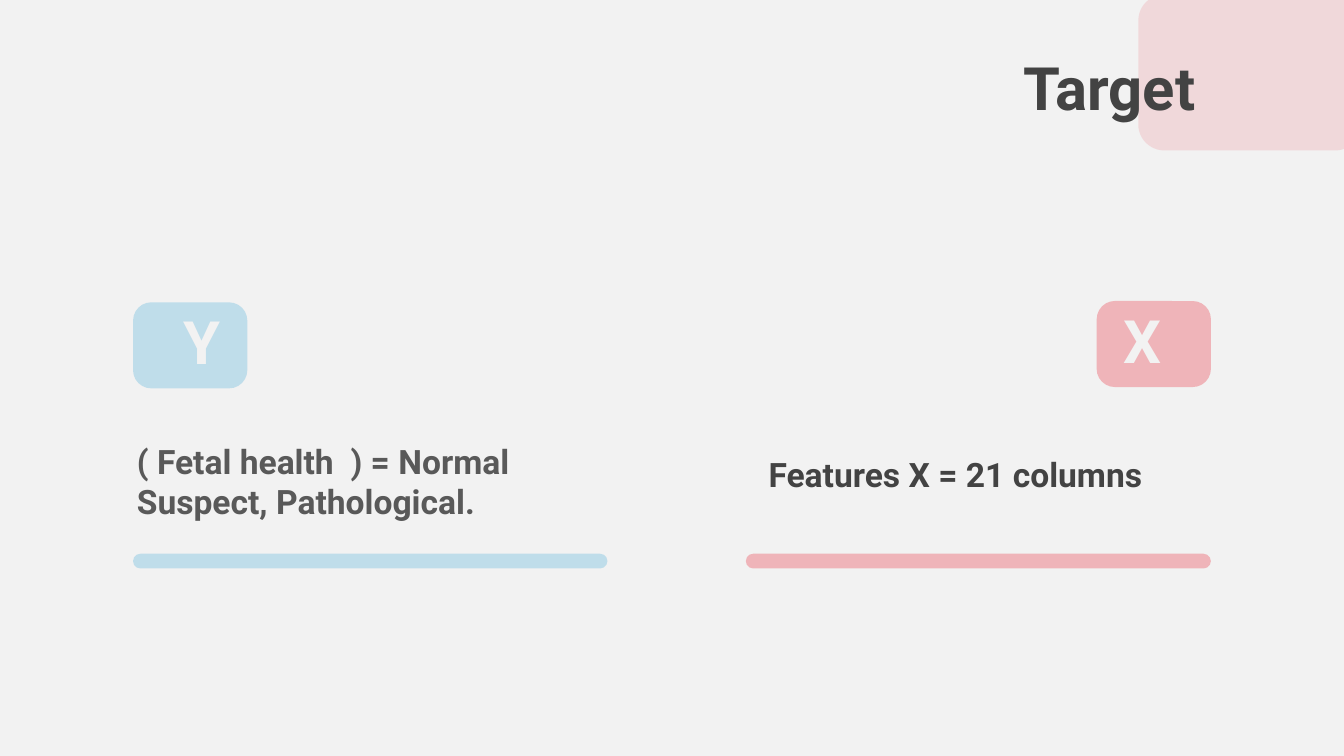
import pptx
import pptx.util
import pptx.dml.color
import pptx.enum.shapes
import pptx.enum.text
import pptx.oxml.ns
from dataclasses import dataclass
from lxml import etree

Inches = pptx.util.Inches
Align = pptx.enum.text.PP_ALIGN
Anchor = pptx.enum.text.MSO_ANCHOR


@dataclass(frozen=True)
class Theme:
    font: str = "Roboto"
    paper: str = "F2F2F2"
    ink: str = "434343"
    gray: str = "595959"
    blue: str = "AED7E8"
    pink: str = "EE8C94"
    large: int = 32
    body: int = 18


THEME = Theme()


def tint(fill, color, alpha=100):
    fill.solid()
    fill.fore_color.rgb = pptx.dml.color.RGBColor.from_string(color)
    if alpha < 100:
        qn = pptx.oxml.ns.qn
        node = fill._xPr.find(qn("a:solidFill"))[0]
        etree.SubElement(node, qn("a:alpha"), val=str(alpha * 1000))


def block(slide, box, color, alpha, curve):
    kind = pptx.enum.shapes.MSO_SHAPE.ROUNDED_RECTANGLE
    shape = slide.shapes.add_shape(kind, *map(Inches, box))
    shape.adjustments[0] = curve
    shape.shadow.inherit = False
    shape.line.fill.background()
    tint(shape.fill, color, alpha)


def label(slide, box, text, size, color, align=Align.LEFT, anchor=Anchor.TOP):
    frame = slide.shapes.add_textbox(*map(Inches, box)).text_frame
    frame.word_wrap = True
    frame.vertical_anchor = anchor
    frame.margin_left = frame.margin_right = Inches(0.1)
    frame.margin_top = frame.margin_bottom = Inches(0.1)
    para = frame.paragraphs[0]
    para.text = text
    para.alignment = align
    para.font.name = THEME.font
    para.font.size = pptx.util.Pt(size)
    para.font.bold = True
    para.font.color.rgb = pptx.dml.color.RGBColor.from_string(color)


def header(slide, box, text):
    left, top, width, height = box
    block(slide, (left + 2.77, top - 0.32, 1.66, 1.16), THEME.pink, 25, 0.167)
    label(slide, box, text, THEME.large, THEME.ink, Align.CENTER)


def panel(slide, box, sign, text, note, color, alpha, ink, tag, mark):
    left, top, width, height = box
    bar = 0.11
    block(slide, (left, top + height - bar, width, bar), color, alpha, 0.5)
    block(slide, (left + tag, top, 0.85, 0.64), color, alpha, 0.212)
    label(slide, (left + tag + mark, top - 0.04, 0.69, 0.69), sign,
          THEME.large, THEME.paper, anchor=Anchor.BOTTOM)
    shift, drop, span, depth = note
    label(slide, (left + shift, top + drop, span, depth), text, THEME.body, ink)


def main():
    deck = pptx.Presentation()
    deck.slide_width = Inches(10)
    deck.slide_height = Inches(10 * 9 / 16)
    slide = deck.slides.add_slide(deck.slide_layouts[6])
    tint(slide.background.fill, THEME.paper)
    header(slide, (5.7, 0.28, 5.11, 0.69), "Target")
    panel(slide, (0.99, 2.25, 3.53, 1.98), "Y",
          "( Fetal health  ) = Normal  Suspect, Pathological.",
          (-0.07, 0.93, 3.39, 1.16), THEME.blue, 74, THEME.gray, 0, 0.28)
    panel(slide, (5.55, 2.24, 3.46, 1.99), "X", "Features X = 21 columns",
          (0.07, 1.04, 3.33, 0.96), THEME.pink, 60, THEME.ink, 2.61, 0.1)
    deck.save("out.pptx")


if __name__ == "__main__":
    main()
